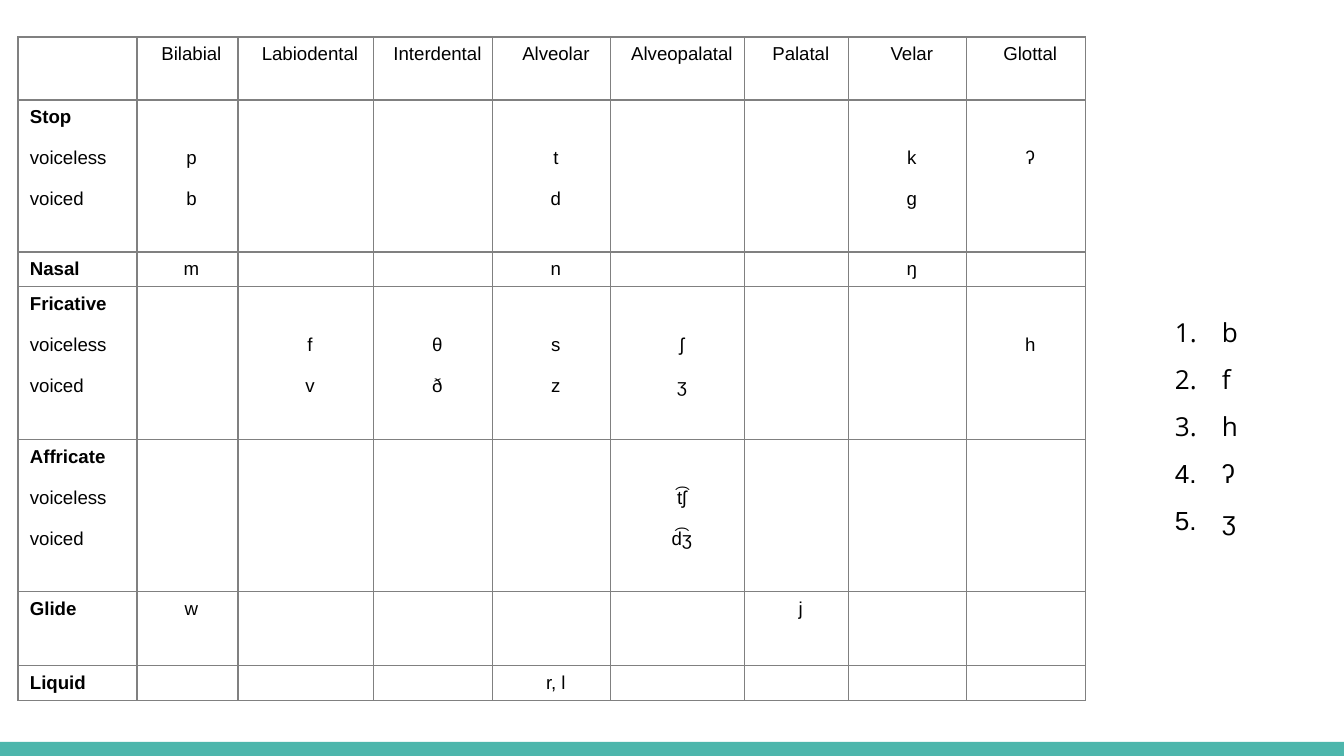
from typing import NamedTuple

from lxml.etree import SubElement as Sub
from pptx import Presentation
from pptx.dml.color import RGBColor as Rgb
from pptx.enum.shapes import MSO_SHAPE as Kind
from pptx.enum.text import PP_ALIGN as Align
from pptx.oxml.ns import qn
from pptx.util import Emu, Pt

SCALE = 914400 / 134.4
BLACK, WHITE, GREY, TEAL = "000000", "FFFFFF", "808080", "4DB6AC"
COLS = (119, 101, 136, 119, 118, 134, 104, 118, 119)
INSET, INDENT, LINE = 4, 8, 41
VOICES = ("voiceless", "voiced")


class Row(NamedTuple):
    label: str
    height: int
    sounds: dict[int, tuple[str, ...]]
    split: bool = False


class Item(NamedTuple):
    sound: str
    font: str


HEADS = ("Bilabial", "Labiodental", "Interdental", "Alveolar",
         "Alveopalatal", "Palatal", "Velar", "Glottal")
ROWS = (
    Row("", 63, {col: (head,) for col, head in enumerate(HEADS, 1)}),
    Row("Stop", 152, {1: ("p", "b"), 4: ("t", "d"), 7: ("k", "g"), 8: ("ʔ",)}, True),
    Row("Nasal", 35, {1: ("m",), 4: ("n",), 7: ("ŋ",)}),
    Row("Fricative", 153, {2: ("f", "v"), 3: ("θ", "ð"), 4: ("s", "z"),
                           5: ("ʃ", "ʒ"), 8: ("h",)}, True),
    Row("Affricate", 152, {5: ("t͡ʃ", "d͡ʒ")}, True),
    Row("Glide", 74, {1: ("w",), 6: ("j",)}),
    Row("Liquid", 35, {4: ("r, l",)}),
)
ITEMS = (Item("b", "Open Sans"), Item("f", "Open Sans"), Item("h", "Open Sans"),
         Item("ʔ", "Arial"), Item("ʒ", "Arial"))


def px(num: float) -> Emu:
    return Emu(round(num * SCALE))


def paint(fill, tone: str) -> None:
    fill.solid()
    fill.fore_color.rgb = Rgb.from_string(tone)


def add_run(para, text: str, size: int, font: str = "Arial", bold: bool = False) -> None:
    run = para.add_run()
    run.text = text
    run.font.size = Pt(size)
    run.font.name = font
    run.font.bold = bold
    paint(run.font.fill, BLACK)


def add_tone(node, tone: str) -> None:
    Sub(node, qn("a:srgbClr"), val=tone)


def set_edges(cell) -> None:
    props = cell._tc.get_or_add_tcPr()
    for side in "LRTB":
        line = Sub(props, qn(f"a:ln{side}"), w=str(Pt(0.75)))
        add_tone(Sub(line, qn("a:solidFill")), GREY)


def fill_cell(cell, lines: tuple[str, ...], label: bool, drop: int) -> None:
    set_edges(cell)
    paint(cell.fill, WHITE)
    cell.margin_left = cell.margin_right = cell.margin_bottom = px(INSET)
    cell.margin_top = px(INSET + drop)
    frame = cell.text_frame
    if not lines:
        Sub(frame.paragraphs[0]._p, qn("a:endParaRPr"), sz="1000")
    for num, text in enumerate(lines):
        para = frame.add_paragraph() if num else frame.paragraphs[0]
        para._p.get_or_add_pPr().set("marL", str(px(INDENT)))
        para.alignment = Align.LEFT if label else Align.CENTER
        para.line_spacing = 1.15
        if num:
            para.space_before = Pt(9)
        add_run(para, text, 10, bold=label and num == 0)


def add_chart(slide) -> None:
    tall = sum(row.height for row in ROWS)
    table = slide.shapes.add_table(
        len(ROWS), len(COLS), px(18), px(37), px(sum(COLS)), px(tall)).table
    table.first_row = table.horz_banding = False
    for num, width in enumerate(COLS):
        table.columns[num].width = px(width)
    for num, row in enumerate(ROWS):
        table.rows[num].height = px(row.height)
        names = (row.label,) if row.label else ()
        fill_cell(table.cell(num, 0), names + (VOICES if row.split else ()), True, 0)
        for col in range(1, len(COLS)):
            lines = row.sounds.get(col, ())
            drop = LINE if row.split and lines else 0
            fill_cell(table.cell(num, col), lines, False, drop)


def add_list(slide) -> None:
    frame = slide.shapes.add_textbox(px(1142), px(288), px(149), px(82)).text_frame
    frame.word_wrap = True
    frame.margin_left = frame.margin_right = px(13)
    frame.margin_top = frame.margin_bottom = px(13)
    for num, item in enumerate(ITEMS):
        para = frame.add_paragraph() if num else frame.paragraphs[0]
        props = para._p.get_or_add_pPr()
        props.set("marL", str(px(67)))
        props.set("indent", str(px(-47)))
        add_tone(Sub(props, qn("a:buClr")), BLACK)
        Sub(props, qn("a:buAutoNum"), type="arabicPeriod")
        para.line_spacing = 1.5
        add_run(para, item.sound, 14, item.font)


def add_bar(slide) -> None:
    bar = slide.shapes.add_shape(Kind.RECTANGLE, px(0), px(742), px(1344), px(14))
    bar.shadow.inherit = False
    paint(bar.fill, TEAL)
    bar.line.fill.background()


def main() -> None:
    deck = Presentation()
    deck.slide_width, deck.slide_height = px(1344), px(756)
    slide = deck.slides.add_slide(deck.slide_layouts[6])
    paint(slide.background.fill, WHITE)
    add_bar(slide)
    add_chart(slide)
    add_list(slide)
    deck.save("out.pptx")


if __name__ == "__main__":
    main()
